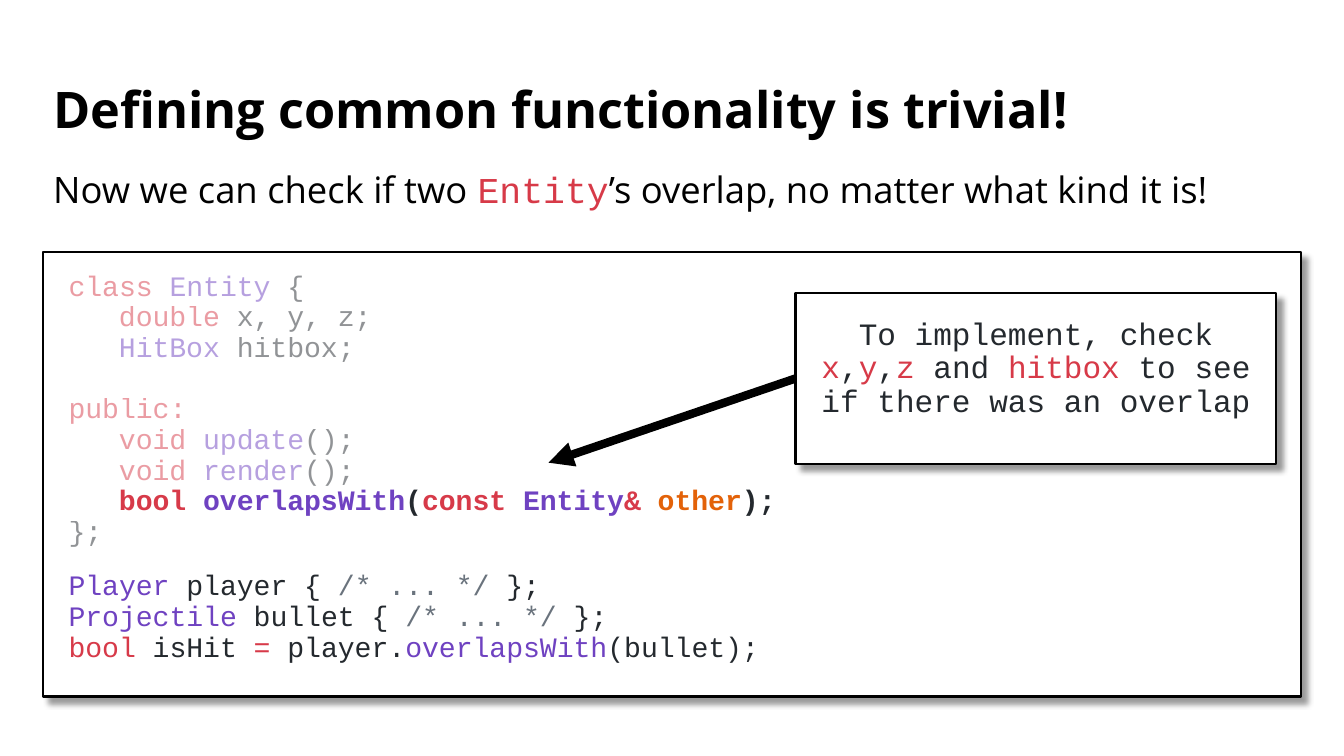
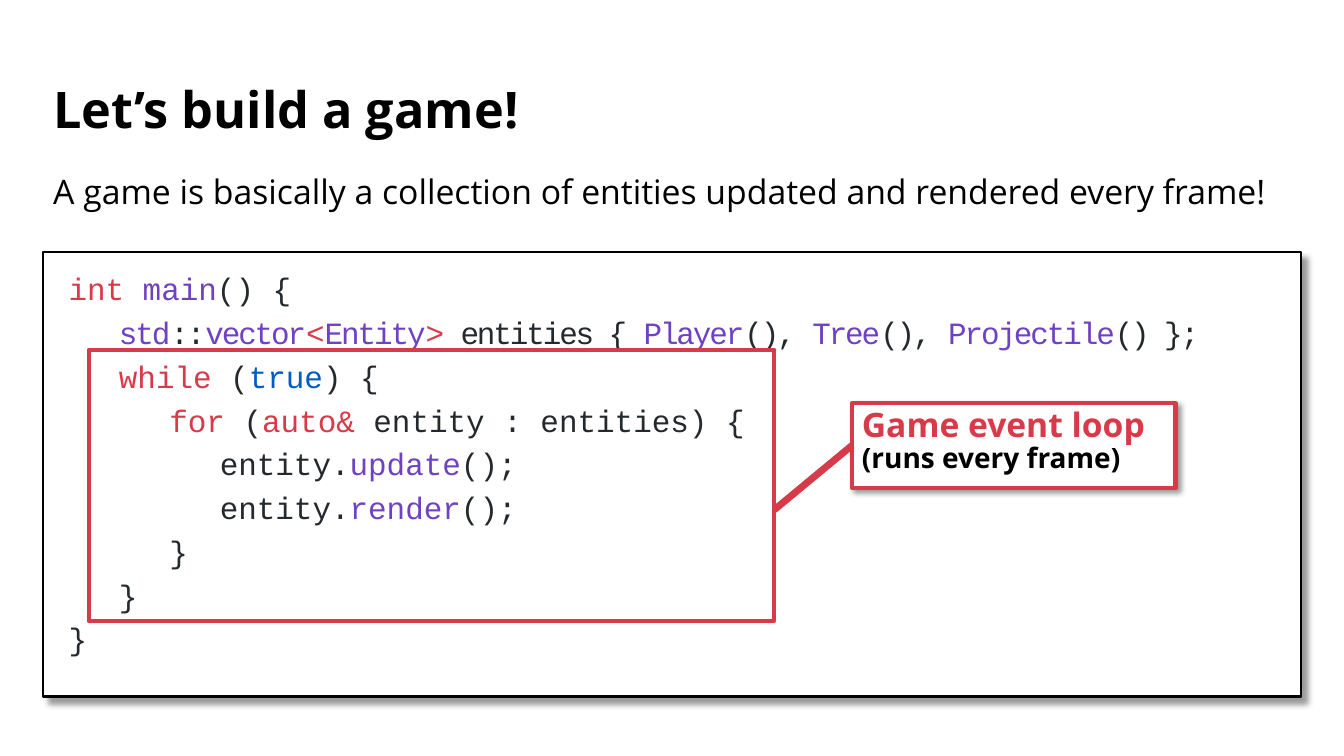
from lxml import etree
from pptx import Presentation
from pptx.dml.color import RGBColor
from pptx.enum.shapes import MSO_CONNECTOR, MSO_SHAPE
from pptx.enum.text import MSO_ANCHOR, PP_ALIGN
from pptx.oxml.ns import qn
from pptx.util import Inches, Pt

RECTANGLE = MSO_SHAPE.RECTANGLE
STRAIGHT = MSO_CONNECTOR.STRAIGHT
TOP, MIDDLE = MSO_ANCHOR.TOP, MSO_ANCHOR.MIDDLE
LEFT, CENTER = PP_ALIGN.LEFT, PP_ALIGN.CENTER

COLORS = {
    "black": "000000",
    "white": "FFFFFF",
    "accent": "D73A48",
    "keyword": "D73A49",
    "name": "6F42C1",
    "plain": "24292E",
    "parameter": "E36209",
    "comment": "6A737D",
    "constant": "005CC5",
}
SANS, MONO = "Open Sans", "Courier New"

TITLE_BOX = (0.43, 0.69, 12.47, 0.84)
SUBTITLE_BOX = (0.43, 1.69, 12.47, 0.47)
CODE_BOX = (0.43, 2.5, 12.47, 4.41)
CALLOUT_BOX = (7.89, 2.91, 4.77, 1.69)
LOOP_FRAME_BOX = (0.88, 3.47, 6.8, 2.69)
LOOP_LABEL_BOX = (8.45, 4, 3.21, 0.84)
TAB_WIDTH = 0.5

FADED, BOLD, TIGHT = "faded", "bold", "tight"

ENTITY_CODE = [
    (0, [("class ", "keyword"), ("Entity", "name"), (" {", "plain")], FADED, 0),
    (1, [("double", "keyword"), (" x, y, z;", "plain")], FADED, 5),
    (1, [("HitBox", "name"), (" hitbox;", "plain")], FADED, 5),
    (0, [("public:", "keyword")], FADED, 27),
    (1, [("void ", "keyword"), ("update", "name"), ("();", "plain")], FADED, 5),
    (1, [("void ", "keyword"), ("render", "name"), ("();", "plain")], FADED, 5),
    (1, [("bool ", "keyword"), ("overlapsWith", "name"), ("(", "plain"),
         ("const ", "keyword"), ("Entity", "name"), ("& ", "keyword"),
         ("other", "parameter"), (");", "plain")], BOLD, 5),
    (0, [("};", "plain")], FADED, 5),
    (0, [("Player", "name"), (" player {", "plain"),
         (" /* ... */", "comment"), (" };", "plain")], None, 22),
    (0, [("Projectile", "name"), (" bullet {", "plain"),
         (" /* ... */", "comment"), (" };", "plain")], None, 5),
    (0, [("bool ", "keyword"), ("isHit ", "plain"), ("= ", "keyword"),
         ("player.", "plain"), ("overlapsWith", "name"), ("(bullet);", "plain")], None, 5),
]

GAME_CODE = [
    (0, [("int ", "keyword"), ("main", "name"), ("() {", "plain")], None, 0),
    (1, [("std", "name"), ("::", "plain"), ("vector", "name"), ("<", "keyword"),
         ("Entity", "name"), (">", "keyword"), (" entities { ", "plain"),
         ("Player", "name"), ("(), ", "plain"), ("Tree", "name"), ("(), ", "plain"),
         ("Projectile", "name"), ("() };", "plain")], TIGHT, 10),
    (1, [("while", "keyword"), (" (", "plain"), ("true", "constant"), (") {", "plain")], None, 10),
    (2, [("for", "keyword"), (" (", "plain"), ("auto&", "keyword"),
         (" entity : entities) {", "plain")], None, 10),
    (3, [("entity.", "plain"), ("update", "name"), ("();", "plain")], None, 10),
    (3, [("entity.", "plain"), ("render", "name"), ("();", "plain")], None, 10),
    (2, [("}", "plain")], None, 10),
    (1, [("}", "plain")], None, 10),
    (0, [("}", "plain")], None, 10),
]


def rgb(color):
    return RGBColor.from_string(COLORS[color])


def set_frame(shape, inset=None, anchor=TOP):
    frame = shape.text_frame
    frame.word_wrap = True
    frame.vertical_anchor = anchor
    if inset is not None:
        frame.margin_left = frame.margin_right = Inches(inset)
        frame.margin_top = frame.margin_bottom = Inches(inset)
    return frame


def next_paragraph(frame):
    first = frame.paragraphs[0]
    return frame.add_paragraph() if first.runs else first


def fill_paragraph(paragraph, runs, size, font, spacing, before=0,
                   align=LEFT, bold=False, tabs=0):
    paragraph.alignment = align
    paragraph.line_spacing = spacing
    paragraph.space_before = Pt(before)
    if tabs:
        tab_list = etree.SubElement(paragraph._p.get_or_add_pPr(), qn("a:tabLst"))
        for level in range(1, tabs + 1):
            etree.SubElement(tab_list, qn("a:tab"),
                             pos=str(Inches(TAB_WIDTH * level)), algn="l")
    paragraph.font.size = Pt(size)
    paragraph.font.name = font
    paragraph.font.bold = bold
    for text, color, *run_font in runs:
        run = paragraph.add_run()
        run.text = text
        run.font.color.rgb = rgb(color)
        if run_font:
            run.font.name = run_font[0]


def style_code_runs(paragraph, style):
    for run in paragraph.runs:
        properties = run._r.get_or_add_rPr()
        if style == FADED:
            color = properties.find(".//" + qn("a:srgbClr"))
            etree.SubElement(color, qn("a:alpha"), val="50000")
        elif style == TIGHT:
            properties.set("spc", "-150")


def add_text(slide, box, runs, size, spacing, anchor=TOP, bold=False):
    shape = slide.shapes.add_textbox(*map(Inches, box))
    frame = set_frame(shape, anchor=anchor)
    fill_paragraph(frame.paragraphs[0], runs, size, SANS, spacing, bold=bold)


def add_box(shapes, box, line="black", width=1.5, filled=True, shadow_distance=0):
    shape = shapes.add_shape(RECTANGLE, *map(Inches, box))
    if filled:
        shape.fill.solid()
        shape.fill.fore_color.rgb = rgb("white")
    else:
        shape.fill.background()
    shape.line.color.rgb = rgb(line)
    shape.line.width = Pt(width)
    shape.shadow.inherit = False
    if shadow_distance:
        effects = shape._element.spPr.find(qn("a:effectLst"))
        shadow = etree.SubElement(effects, qn("a:outerShdw"), blurRad=str(Pt(4)),
                                  dist=str(Pt(shadow_distance)), dir="2700000",
                                  algn="tl", rotWithShape="0")
        color = etree.SubElement(shadow, qn("a:srgbClr"), val=COLORS["black"])
        etree.SubElement(color, qn("a:alpha"), val="40000")
    return shape


def add_line(shapes, start, end, color, width, arrow=False):
    connector = shapes.add_connector(STRAIGHT, *map(Inches, start + end))
    connector.line.color.rgb = rgb(color)
    connector.line.width = Pt(width)
    if arrow:
        etree.SubElement(connector.line._get_or_add_ln(), qn("a:tailEnd"), type="triangle")
    etree.SubElement(connector._element.spPr, qn("a:effectLst"))


def left_middle(box):
    left, top, _, height = box
    return left, top + height / 2


def add_code(slide, box, lines, size, spacing):
    frame = set_frame(add_box(slide.shapes, box, shadow_distance=6), inset=0.25)
    for level, runs, style, before in lines:
        paragraph = next_paragraph(frame)
        first_text, first_color = runs[0]
        indented = [("\t" * level + first_text, first_color)] + runs[1:]
        fill_paragraph(paragraph, indented, size, MONO, spacing, before,
                       bold=style == BOLD, tabs=level)
        style_code_runs(paragraph, style)


def add_callout(slide, box, target):
    frame = set_frame(add_box(slide.shapes, box, shadow_distance=6), inset=0.25)
    runs = [("To implement, check ", "plain"), ("x", "accent"), (",", "plain"),
            ("y", "accent"), (",", "plain"), ("z", "accent"), (" and ", "plain"),
            ("hitbox", "accent"), (" to see if there was an overlap", "plain")]
    fill_paragraph(frame.paragraphs[0], runs, 22.2, MONO, 0.9, align=CENTER)
    add_line(slide.shapes, left_middle(box), target, "black", 6, arrow=True)


def add_loop_marker(slide, frame_box, label_box):
    shapes = slide.shapes.add_group_shape().shapes
    label = add_box(shapes, label_box, "accent", 3, shadow_distance=3)
    frame = set_frame(label)
    for text, color, size in (("Game event loop", "accent", 24),
                              ("(runs every frame)", "black", 20)):
        fill_paragraph(next_paragraph(frame), [(text, color)], size, SANS, 0.9, bold=True)
    left, top, width, height = frame_box
    frame_edge = (left + width, top + height * 0.59)
    add_line(shapes, left_middle(label_box), frame_edge, "accent", 5)
    add_box(shapes, frame_box, "accent", 3, filled=False)


def add_code_slide(presentation, title, subtitle, subtitle_size, subtitle_spacing,
                   lines, code_size, code_spacing):
    slide = presentation.slides.add_slide(presentation.slide_layouts[6])
    add_text(slide, TITLE_BOX, [(title, "black")], 36, 0.9, anchor=MIDDLE, bold=True)
    add_code(slide, CODE_BOX, lines, code_size, code_spacing)
    add_text(slide, SUBTITLE_BOX, subtitle, subtitle_size, subtitle_spacing)
    return slide


def main():
    presentation = Presentation()
    presentation.slide_width = Inches(13.33)
    presentation.slide_height = Inches(7.5)

    overlap_subtitle = [("Now we can check if two ", "black"), ("Entity", "accent", MONO),
                        ("’s overlap, no matter what kind it is!", "black")]
    slide = add_code_slide(presentation, "Defining common functionality is trivial!",
                           overlap_subtitle, 26, 0.8, ENTITY_CODE, 20.1, 0.7)
    add_callout(slide, CALLOUT_BOX, (5.44, 4.59))

    game_subtitle = [("A game is basically a collection of entities updated "
                      "and rendered every frame!", "black")]
    slide = add_code_slide(presentation, "Let’s build a game!",
                           game_subtitle, 24.1, 0.9, GAME_CODE, 22.1, 0.8)
    add_loop_marker(slide, LOOP_FRAME_BOX, LOOP_LABEL_BOX)

    presentation.save("out.pptx")


if __name__ == "__main__":
    main()
